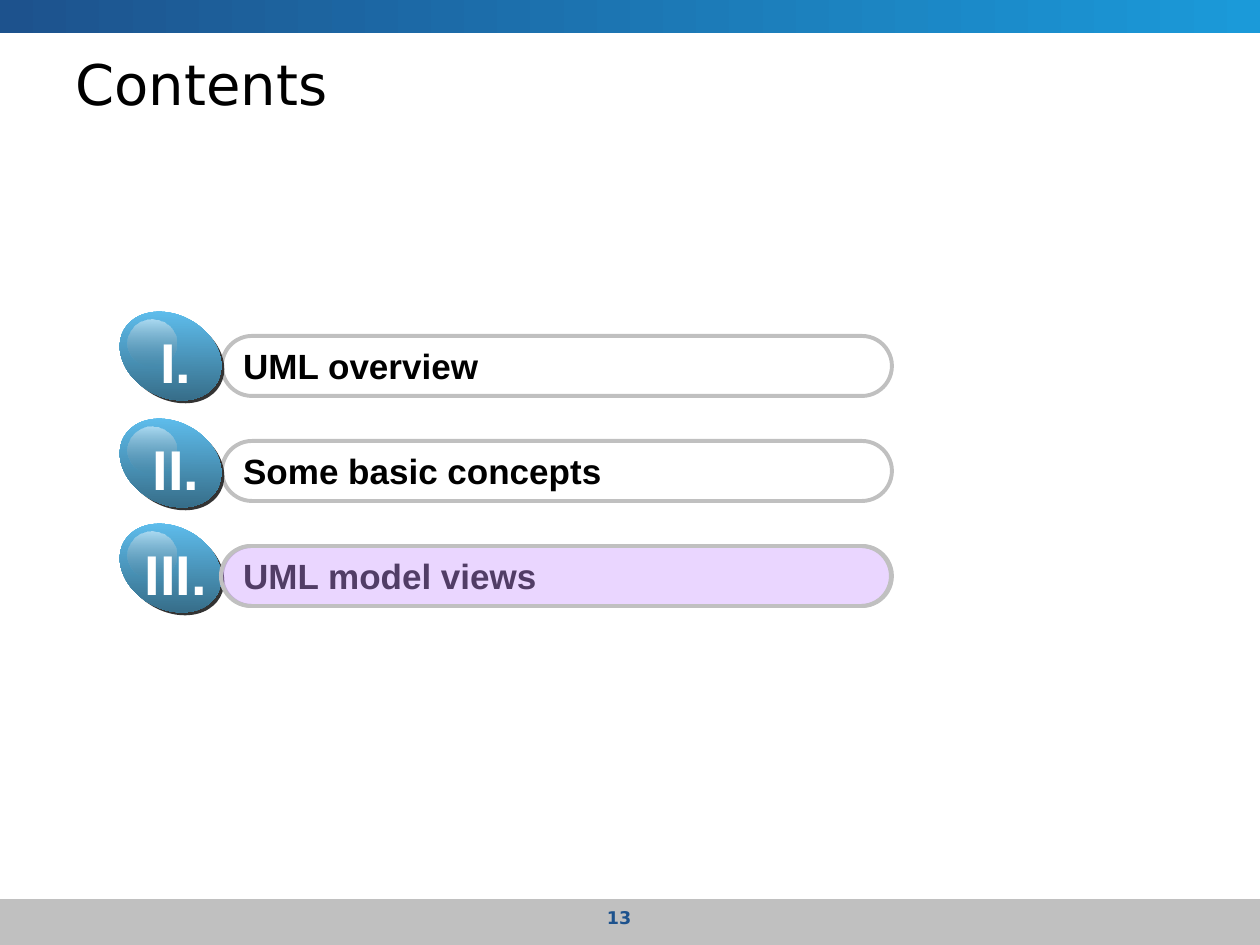
from pptx import Presentation
from pptx.dml.color import RGBColor
from pptx.enum.shapes import MSO_SHAPE
from pptx.enum.text import MSO_ANCHOR, PP_ALIGN
from pptx.oxml.xmlchemy import OxmlElement
from pptx.util import Pt

PX = 914400 / 126
COLORS = {
    "black": "000000", "white": "FFFFFF", "gray": "C0C0C0", "navy": "1D528D",
    "blue": "1B9AD9", "sky": "66CCFF", "steel": "2F5E76", "shadow": "333333",
    "gloss": "767676", "violet": "CC99FF",
}


def add_shape(kind, box, colors=(), angle=0, alphas=(), line=None):
    """Add a shape with no fill, one fill colour or a two-colour gradient."""
    shape = slide.shapes.add_shape(kind, *(round(n * PX) for n in box))
    shape.shadow.inherit = False
    fill = shape.fill
    if not colors:
        fill.background()
        targets = []
    elif len(colors) == 1:
        fill.solid()
        targets = [fill.fore_color]
    else:
        fill.gradient()
        fill.gradient_angle = -angle % 360
        targets = [stop.color for stop in fill.gradient_stops]
    for target, color in zip(targets, colors):
        target.rgb = RGBColor.from_string(COLORS[color])
    for node, percent in zip(shape.element.spPr.iter("{*}srgbClr"), alphas):
        alpha = OxmlElement("a:alpha")
        alpha.set("val", str(percent * 1000))
        node.append(alpha)
    if line:
        shape.line.color.rgb = RGBColor.from_string(COLORS[line])
        shape.line.width = Pt(2.25)
    else:
        shape.line.fill.background()
    return shape


def set_text(shape, text, size, font, color, bold, align, anchor, wrap):
    frame = shape.text_frame
    frame.text = text
    frame.word_wrap = wrap
    frame.vertical_anchor = anchor
    paragraph = frame.paragraphs[0]
    paragraph.alignment = align
    paragraph.font.size = Pt(size)
    paragraph.font.name = font
    paragraph.font.bold = bold
    paragraph.font.color.rgb = RGBColor.from_string(COLORS[color])


presentation = Presentation()
presentation.slide_width = round(1260 * PX)
presentation.slide_height = round(945 * PX)
slide = presentation.slides.add_slide(presentation.slide_layouts[5])

# Footer and header bars
add_shape(MSO_SHAPE.RECTANGLE, (0, 899, 1260, 46), ["gray"])
add_shape(MSO_SHAPE.RECTANGLE, (0, 0, 1260, 33), ["navy", "blue"])

# Slide number
number = slide.shapes.add_textbox(*(round(n * PX) for n in (472, 901, 294, 35)))
set_text(number, "13", 10, "DejaVu Sans", "navy", True,
         PP_ALIGN.CENTER, MSO_ANCHOR.TOP, True)

# Title
title = slide.shapes.title
title.left, title.top, title.width, title.height = (
    round(n * PX) for n in (63, 44, 1134, 78))
set_text(title, "Contents", 32, "DejaVu Sans", "black", False,
         PP_ALIGN.LEFT, MSO_ANCHOR.MIDDLE, True)

# Topic bars
topics = ["UML overview", "Some basic concepts", "UML model views"]
for row, topic in enumerate(topics):
    bar = add_shape(MSO_SHAPE.ROUNDED_RECTANGLE, (222, 336 + 105 * row, 670, 60),
                    line="gray")
    bar.adjustments[0] = 0.5
    set_text(bar, topic, 20, "Arial", "black", True,
             PP_ALIGN.LEFT, MSO_ANCHOR.MIDDLE, False)

# Numbered balls: shadow, body, gloss, numeral
for numeral, top, width in [("I.", 315, 56), ("II.", 422, 72), ("III.", 527, 88)]:
    shadow = add_shape(MSO_SHAPE.OVAL, (120, top + 3, 107, 82), ["shadow"])
    body = add_shape(MSO_SHAPE.OVAL, (117, top, 107, 82), ["sky", "steel"], 61)
    shadow.rotation = body.rotation = 29.3
    add_shape(MSO_SHAPE.OVAL, (128, top + 5, 48, 47), ["white", "gloss"], 90, (50, 0))
    label = slide.shapes.add_textbox(
        *(round(n * PX) for n in (176 - width / 2, top + 6, width, 81)))
    set_text(label, numeral, 32, "Arial", "white", True,
             PP_ALIGN.CENTER, MSO_ANCHOR.TOP, False)

# Highlight over the current topic
highlight = add_shape(MSO_SHAPE.ROUNDED_RECTANGLE, (221, 546, 670, 60), ["violet"],
                      alphas=[40], line="gray")
highlight.adjustments[0] = 0.5

presentation.save("out.pptx")
